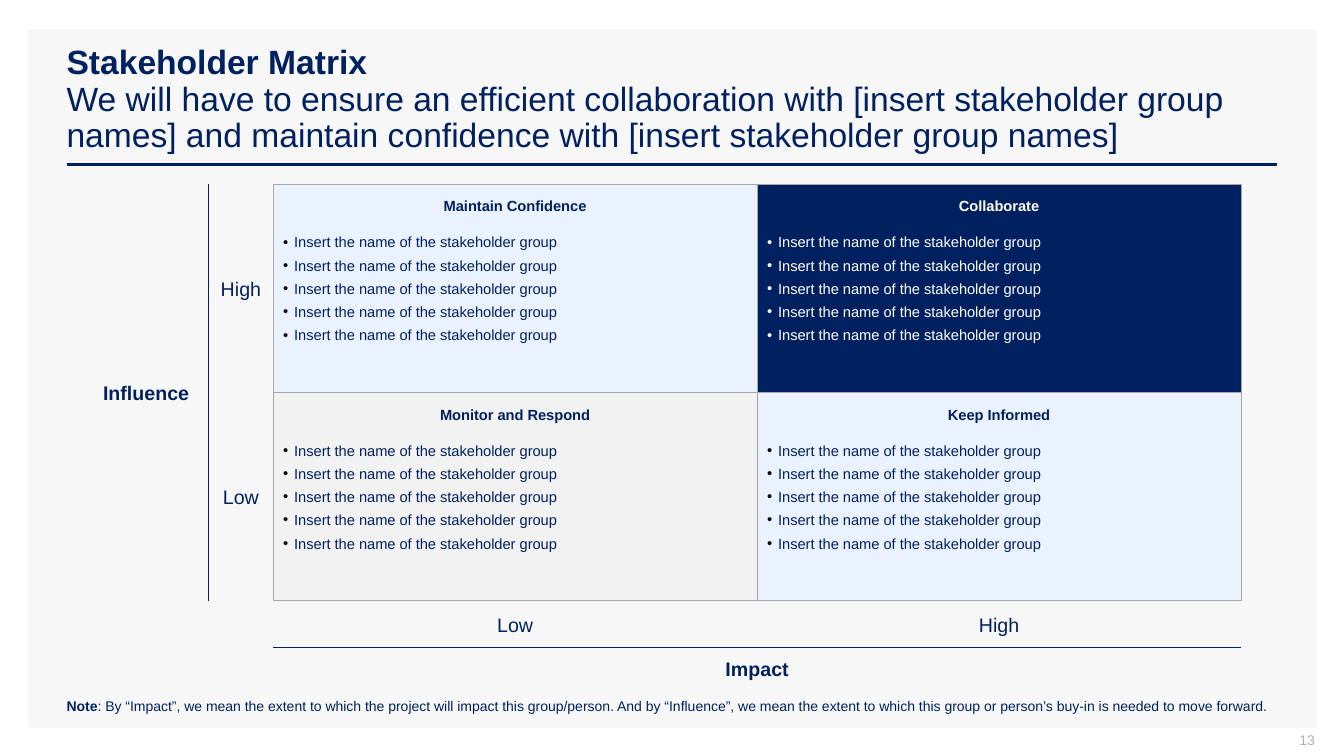
from pptx import Presentation
from pptx.dml.color import RGBColor
from pptx.enum import shapes, text
from pptx.oxml import ns
from pptx.util import Inches, Pt
from lxml import etree

NAVY, PALE, GREY, WHITE = "002060", "EBF2FF", "F2F2F2", "FFFFFF"
LEFT, CENTER, RIGHT = text.PP_ALIGN.LEFT, text.PP_ALIGN.CENTER, text.PP_ALIGN.RIGHT
ITEMS = ["Insert the name of the stakeholder group"] * 5
GROUPS = [
    [("Maintain Confidence", PALE, NAVY), ("Collaborate", NAVY, WHITE)],
    [("Monitor and Respond", GREY, NAVY), ("Keep Informed", PALE, NAVY)],
]


def color(code):
    return RGBColor.from_string(code)


def sub(parent, tag, **attrs):
    return etree.SubElement(parent, ns.qn(tag), **attrs)


def style(para, size, ink, bold=None, align=LEFT):
    para.alignment = align
    font = para.font
    font.name, font.size, font.bold = "Arial", Pt(size), bold
    font.color.rgb = color(ink)


def inset(frame, side, top):
    frame.margin_left = frame.margin_right = Inches(side)
    frame.margin_top = frame.margin_bottom = Inches(top)


def label(slide, box, words, size, ink=NAVY, bold=None, align=CENTER):
    """Add a text box, vertically centred and without insets."""
    frame = slide.shapes.add_textbox(*map(Inches, box)).text_frame
    frame.word_wrap = True
    frame.vertical_anchor = text.MSO_ANCHOR.MIDDLE
    inset(frame, 0, 0)
    para = frame.paragraphs[0]
    para.text = words
    style(para, size, ink, bold, align)
    return para


def lead(para, words):
    """Follow the bold opening of a paragraph with plain words."""
    para.runs[0].font.bold = True
    run = para.add_run()
    run.text = words
    run.font.bold = False


def rect(slide, box, fill, edge=None):
    shape = slide.shapes.add_shape(shapes.MSO_SHAPE.RECTANGLE, *map(Inches, box))
    shape.shadow.inherit = False
    shape.fill.solid()
    shape.fill.fore_color.rgb = color(fill)
    if edge:
        shape.line.color.rgb = color(edge)
        shape.line.width = Pt(0.75)
    else:
        shape.line.fill.background()
    return shape


def rule(slide, start, end, width):
    line = slide.shapes.add_connector(
        shapes.MSO_CONNECTOR.STRAIGHT, *map(Inches, start + end))
    line.line.color.rgb = color(NAVY)
    line.line.width = Pt(width)
    sub(line._element.spPr, "a:effectLst")


def bullet(para, ink):
    props = para._p.get_or_add_pPr()
    props.set("marL", str(Inches(0.11)))
    props.set("indent", str(-Inches(0.11)))
    sub(sub(props, "a:buClr"), "a:srgbClr", val=ink)
    sub(props, "a:buFont", typeface="Arial")
    sub(props, "a:buChar", char="•")


def cell(slide, box, name, fill, ink):
    """Draw one quadrant: heading above a bulleted list."""
    x, y, w, h = box
    frame = rect(slide, box, fill, "A6A6A6").text_frame
    frame.word_wrap = True
    frame.vertical_anchor = text.MSO_ANCHOR.MIDDLE
    inset(frame, 0.1, 0.05)
    for i, item in enumerate(ITEMS):
        para = frame.paragraphs[0] if i == 0 else frame.add_paragraph()
        para.text = item
        para.space_before = Pt(2 if i else 0)
        para.space_after = Pt(2)
        bullet(para, WHITE if ink == WHITE else "000000")
        style(para, 10.5, ink)
    label(slide, (x, y + 0.03, w, 0.37), name, 10.5, ink, True)


def matrix(slide, box):
    """Draw the quadrants with an axis to the left and one below."""
    x, y, w, h = box
    wide, high = w / 2, h / 2
    gap, drop = 0.64, 0.46
    for row, groups in enumerate(GROUPS):
        top = y + row * high
        for col, group in enumerate(groups):
            cell(slide, (x + col * wide, top, wide, high), *group)
        label(slide, (x - gap, top, gap, high), ("High", "Low")[row], 14)
    for col, level in enumerate(("Low", "High")):
        label(slide, (x + col * wide, y + h + 0.07, wide, 0.34), level, 14)
    rule(slide, (x - gap, y), (x - gap, y + h), 0.5)
    rule(slide, (x, y + h + drop), (x + w, y + h + drop), 0.5)
    label(slide, (x - gap - 1.24, y, 1.24, h), "Influence", 14, bold=True)
    label(slide, (x, y + h + drop, w, 0.43), "Impact", 14, bold=True)


def header(slide, box):
    x, y, w, h = box
    para = label(slide, (x, y, w, h - 0.04), "Stakeholder Matrix", 24, align=LEFT)
    para.line_spacing = 0.9
    para.add_line_break()
    lead(para, "We will have to ensure an efficient collaboration with "
               "[insert stakeholder group names] and maintain confidence with "
               "[insert stakeholder group names]")
    rule(slide, (x, y + h), (x + w, y + h), 2)


def footer(slide, box):
    x, y, w, h = box
    para = label(slide, (x, y, w, 0.17), "Note", 10, align=LEFT)
    lead(para, ": By “Impact”, we mean the extent to which the project will impact "
               "this group/person. And by “Influence”, we mean the extent to which "
               "this group or person’s buy-in is needed to move forward.")
    label(slide, (x + w - 2.63, y + h - 0.18, 3, 0.18), "13", 10, "ADAFBB", align=RIGHT)


def main():
    deck = Presentation()
    deck.slide_width, deck.slide_height = Inches(13.33), Inches(7.5)
    slide = deck.slides.add_slide(deck.slide_layouts[6])
    rect(slide, (0.28, 0.29, 12.78, 6.93), "F7F7F7")
    header(slide, (0.66, 0.4, 12.01, 1.23))
    matrix(slide, (2.71, 1.83, 9.6, 4.13))
    footer(slide, (0.66, 6.92, 12.01, 0.51))
    deck.save("out.pptx")


if __name__ == "__main__":
    main()
